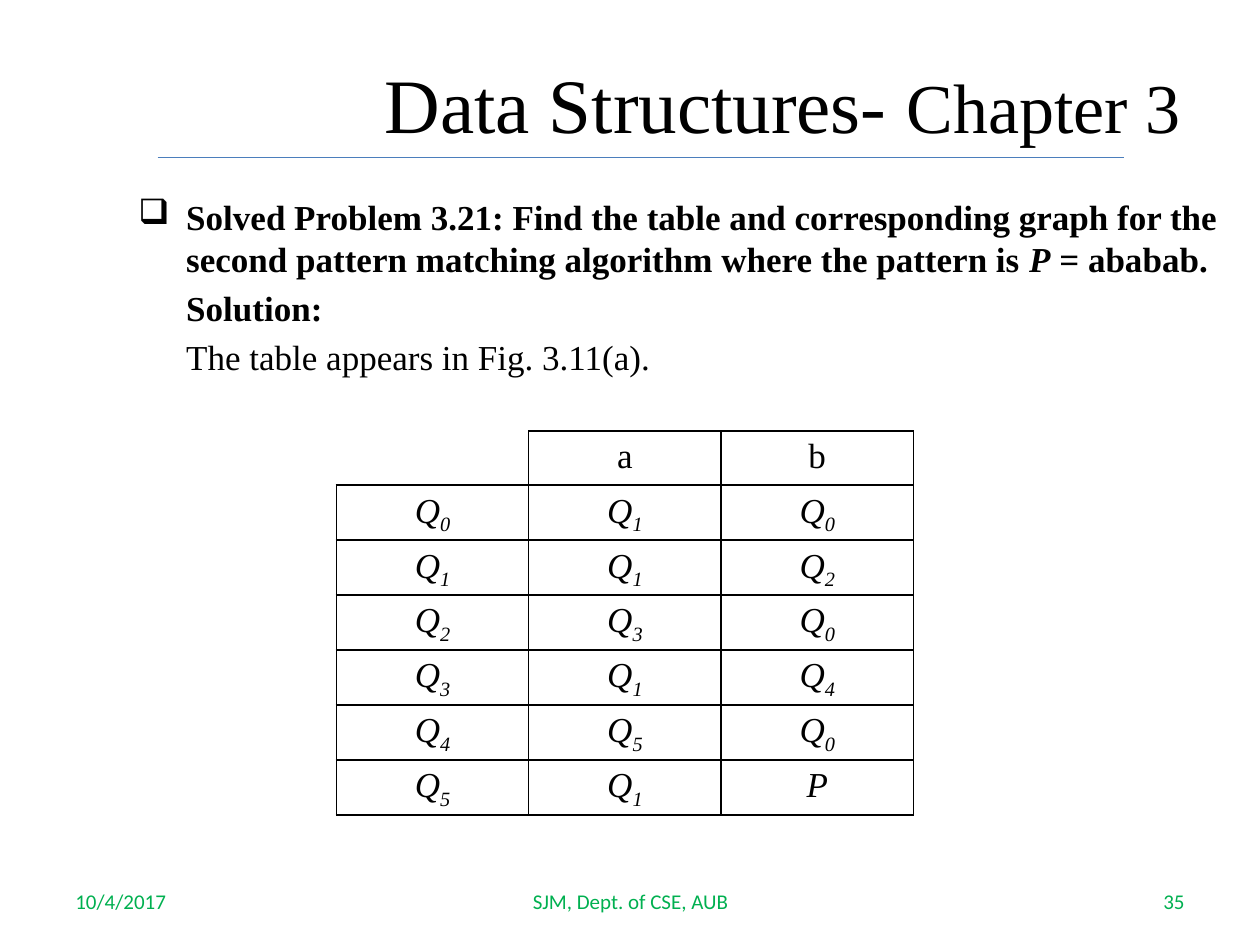
import dataclasses

import pptx
import pptx.dml.color
import pptx.enum.shapes
import pptx.enum.text
import pptx.oxml
import pptx.oxml.ns
import pptx.util
from lxml import etree

Inches, Pt = pptx.util.Inches, pptx.util.Pt
RGBColor = pptx.dml.color.RGBColor
PP_ALIGN = pptx.enum.text.PP_ALIGN
ANCHOR = pptx.enum.text.MSO_ANCHOR
qn = pptx.oxml.ns.qn

BLACK = RGBColor(0x00, 0x00, 0x00)
GREEN = RGBColor(0x00, 0xB0, 0x50)
BLUE = RGBColor(0x4B, 0x7E, 0xBC)

SERIF = {"name": "Times New Roman", "size": Pt(20), "color": BLACK}
FOOTER = {"name": "Calibri", "size": Pt(12), "color": GREEN}


@dataclasses.dataclass
class Run:
    text: str
    fmt: dict


@dataclasses.dataclass
class Para:
    runs: list[Run]
    fmt: dict
    bullet: str = ""
    margin: float = 0


@dataclasses.dataclass
class Box:
    left: float
    top: float
    width: float
    height: float
    paras: list[Para]
    anchor: ANCHOR = ANCHOR.MIDDLE


def add_run(p, run: Run) -> None:
    r = p.add_run()
    r.text = run.text
    for key, value in run.fmt.items():
        if key == "color":
            r.font.color.rgb = value
        elif key == "baseline":
            r.font._element.set("baseline", str(value))
        else:
            setattr(r.font, key, value)


def fill_text(tf, paras: list[Para]) -> None:
    for i, para in enumerate(paras):
        p = tf.add_paragraph() if i else tf.paragraphs[0]
        for key, value in para.fmt.items():
            setattr(p, key, value)
        pPr = p._p.get_or_add_pPr()
        if para.margin:
            pPr.set("marL", str(Inches(para.margin)))
        if para.bullet:
            pPr.set("indent", str(-Inches(para.margin)))
            etree.SubElement(pPr, qn("a:buChar")).set("char", para.bullet)
        for run in para.runs:
            add_run(p, run)


def add_box(s, box: Box) -> None:
    sp = s.shapes.add_textbox(Inches(box.left), Inches(box.top),
                              Inches(box.width), Inches(box.height))
    tf = sp.text_frame
    tf.word_wrap = True
    tf.vertical_anchor = box.anchor
    fill_text(tf, box.paras)


def set_borders(cell, hidden: str = "") -> None:
    """Draw the cell sides in black, leaving out the hidden ones."""
    tcPr = cell._tc.get_or_add_tcPr()
    for i, side in enumerate("LRTB"):
        fill = ("<a:noFill/>" if side in hidden else
                f'<a:solidFill><a:srgbClr val="{BLACK}"/></a:solidFill>')
        tcPr.insert(i, pptx.oxml.parse_xml(
            f'<a:ln{side} xmlns:a="http://schemas.openxmlformats.org/drawingml/2006/main"'
            f' w="{Pt(1)}">{fill}</a:ln{side}>'))


def cell_runs(text: str) -> list[Run]:
    """Letter in italics with its subscript; column heads stay upright."""
    fmt = SERIF | {"italic": text.isupper()}
    runs = [Run(text[0], fmt)]
    if text[1:]:
        runs.append(Run(text[1:], fmt | {"baseline": -25000}))
    return runs


def add_state_table(s, rows: list[list[str]]) -> None:
    heights = [0.43] * 5 + [0.42] * 2
    tbl = s.shapes.add_table(len(rows), 3, Inches(2.67), Inches(3.42),
                             Inches(4.58), Inches(sum(heights))).table
    tbl.first_row = tbl.horz_banding = False
    for col in tbl.columns:
        col.width = Inches(4.58 / 3)
    margins = {"margin_left": Inches(0.07), "margin_right": Inches(0.07),
               "margin_top": 0, "margin_bottom": 0}
    for i, texts in enumerate(rows):
        tbl.rows[i].height = Inches(heights[i])
        for j, text in enumerate(texts):
            cell = tbl.cell(i, j)
            cell.fill.background()
            set_borders(cell, "" if text else "LT")
            for key, value in margins.items():
                setattr(cell, key, value)
            if text:
                fmt = {"alignment": PP_ALIGN.CENTER, "line_spacing": 1.15}
                fill_text(cell.text_frame, [Para(cell_runs(text), fmt)])


def main() -> None:
    prs = pptx.Presentation()
    prs.slide_width, prs.slide_height = Inches(10), Inches(7.5)
    s = prs.slides.add_slide(prs.slide_layouts[6])

    # Footer
    for left, width, text, align in [
        (0.5, 2.33, "10/4/2017", PP_ALIGN.LEFT),
        (3.42, 3.17, "SJM, Dept. of CSE, AUB", PP_ALIGN.CENTER),
        (7.17, 2.33, "35", PP_ALIGN.RIGHT),
    ]:
        add_box(s, Box(left, 6.95, width, 0.4,
                       [Para([Run(text, FOOTER)], {"alignment": align})]))

    # Title and rule
    title = [Run("Data Structures- ", SERIF | {"size": Pt(44)}),
             Run("Chapter 3", SERIF | {"size": Pt(40)})]
    add_box(s, Box(2.42, 0.38, 7.58, 0.87,
                   [Para(title, {"alignment": PP_ALIGN.CENTER})]))
    rule = s.shapes.add_connector(pptx.enum.shapes.MSO_CONNECTOR.STRAIGHT,
                                  Inches(1.25), Inches(1.25), Inches(8.92), Inches(1.25))
    rule.line.color.rgb = BLUE
    rule.line.width = Pt(0.75)
    etree.SubElement(rule._element.spPr, qn("a:effectLst"))

    # Problem and solution
    bold = SERIF | {"bold": True}
    spacing = {"space_before": Pt(4)}
    problem = [
        Run("Solved Problem 3.21: Find the table and corresponding graph for the "
            "second pattern matching algorithm where the pattern is ", bold),
        Run("P", bold | {"italic": True}),
        Run(" = ababab.", bold),
    ]
    add_box(s, Box(1, 1.5, 9, 5.33, [
        Para(problem, spacing, "❑", 0.38),
        Para([Run("Solution:", bold)], spacing, margin=0.38),
        Para([Run("The table appears in Fig. 3.11(a).", SERIF)], spacing, margin=0.38),
    ], ANCHOR.TOP))

    # State transitions
    add_state_table(s, [
        ["", "a", "b"],
        ["Q0", "Q1", "Q0"],
        ["Q1", "Q1", "Q2"],
        ["Q2", "Q3", "Q0"],
        ["Q3", "Q1", "Q4"],
        ["Q4", "Q5", "Q0"],
        ["Q5", "Q1", "P"],
    ])

    prs.save("out.pptx")


if __name__ == "__main__":
    main()
